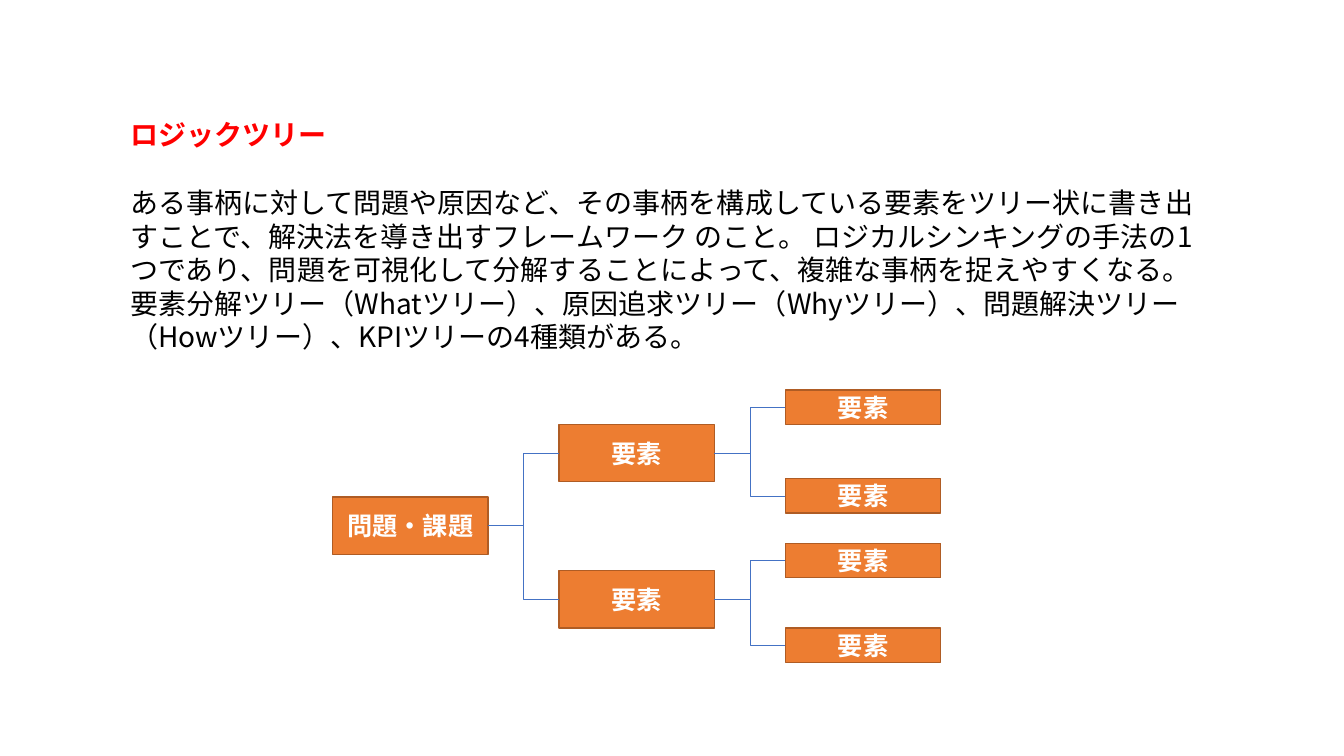
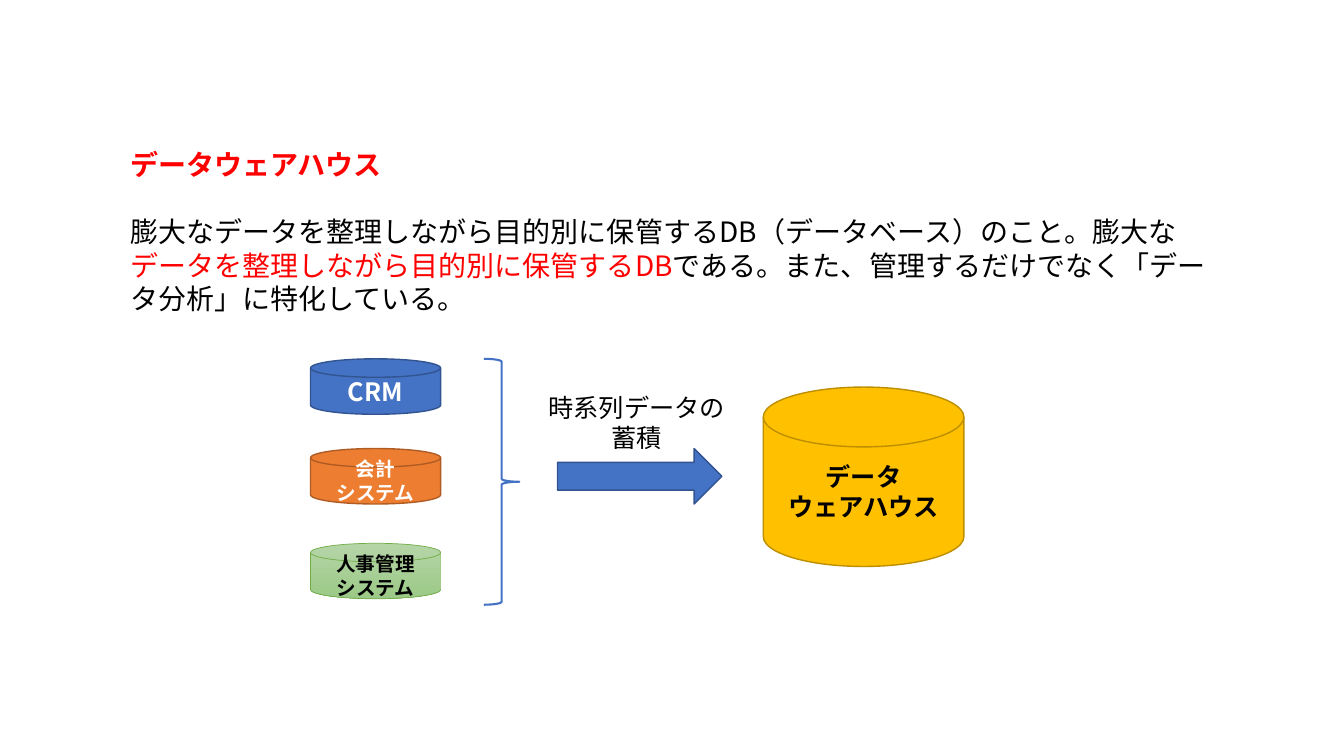
from pptx import Presentation
from pptx.dml.color import RGBColor
from pptx.enum.shapes import MSO_CONNECTOR, MSO_SHAPE
from pptx.enum.text import MSO_ANCHOR, MSO_AUTO_SIZE, PP_ALIGN
from pptx.oxml.ns import qn
from pptx.util import Inches, Pt
from lxml.etree import SubElement

FONT = "Noto Sans CJK JP"
BLACK, WHITE, RED = "000000", "FFFFFF", "FF0000"
BLUE, NAVY = "4472C4", "325491"
ORANGE, BROWN = "ED7D31", "AF5C24"
GOLD, OCHRE = "FFC000", "BD8E00"
GREEN, MINT = "70AD47", ("B5D5A7", "9CC987")

LOGIC = {
    "title": "ロジックツリー",
    "top": 1.12,
    "height": 1.79,
    "body": [
        [("ある事柄に対して問題や原因など、その事柄を構成している要素をツリー状に書き出すことで、解決法を導き出すフレームワーク のこと。 ロジカルシンキングの手法の1つであり、問題を可視化して分解することによって、複雑な事柄を捉えやすくなる。", BLACK)],
        [("要素分解ツリー（Whatツリー）、原因追求ツリー（Whyツリー）、問題解決ツリー（Howツリー）、KPIツリーの4種類がある。", BLACK)],
    ],
}
TREE = ("問題・課題", 4.93, [
    ("要素", 4.21, [("要素", 3.87, []), ("要素", 4.75, [])]),
    ("要素", 5.66, [("要素", 5.39, []), ("要素", 6.23, [])]),
])
HOUSE = {
    "title": "データウェアハウス",
    "top": 1.41,
    "height": 1.11,
    "body": [[
        ("膨大なデータを整理しながら目的別に保管するDB（データベース）のこと。膨大な", BLACK),
        ("データを整理しながら目的別に保管するDB", RED),
        ("である。また、管理するだけでなく「データ分析」に特化している。", BLACK),
    ]],
}
DISKS = [
    (["CRM"], (3.08, 3.56, 1.29, 0.55), BLUE, NAVY, 1, 18, WHITE),
    (["会計", "システム"], (3.08, 4.45, 1.29, 0.55), ORANGE, BROWN, 1, 14, WHITE),
    (["人事管理", "システム"], (3.08, 5.39, 1.29, 0.55), MINT, GREEN, 0.5, 14, BLACK),
    (["データ", "ウェアハウス"], (7.57, 3.84, 1.99, 1.78), GOLD, OCHRE, 1, 18, BLACK),
]
FLOW = ["時系列データの", "蓄積"]


def rgb(code):
    return RGBColor.from_string(code)


def style(para, size, color, bold=False, align=PP_ALIGN.CENTER):
    para.alignment = align
    para.space_before = Pt(0)
    font = para.font
    font.size, font.bold, font.name = Pt(size), bold, FONT
    font.color.rgb = rgb(color)
    SubElement(para._p.pPr.find(qn("a:defRPr")), qn("a:ea"), typeface=FONT)


def write(frame, lines, size, color, bold=False):
    frame.word_wrap = True
    for i, line in enumerate(lines):
        para = frame.add_paragraph() if i else frame.paragraphs[0]
        para.text = line
        style(para, size, color, bold)


def place(shape, *box):
    shape.left, shape.top, shape.width, shape.height = map(Inches, box)
    frame = shape.text_frame
    frame.word_wrap = True
    frame.auto_size = MSO_AUTO_SIZE.NONE
    frame.vertical_anchor = MSO_ANCHOR.TOP
    return frame


def page(deck, data):
    slide = deck.slides.add_slide(deck.slide_layouts[1])
    title, body = slide.placeholders
    top = data["top"]
    head = place(title, 1.19, top, 10.95, 0.43).paragraphs[0]
    head.text = data["title"]
    style(head, 20, RED, True, PP_ALIGN.LEFT)
    frame = place(body, 1.19, top + 0.67, 10.95, data["height"])
    for i, parts in enumerate(data["body"]):
        para = frame.add_paragraph() if i else frame.paragraphs[0]
        props = para._p.get_or_add_pPr()
        props.set("marL", "0")
        props.set("indent", "0")
        SubElement(props, qn("a:buNone"))
        style(para, 20, BLACK, align=PP_ALIGN.LEFT)
        for text, color in parts:
            run = para.add_run()
            run.text = text
            if color != BLACK:
                run.font.color.rgb = rgb(color)
    return slide


def draw(slide, kind, box, fill, line, width=1):
    shape = slide.shapes.add_shape(kind, *map(Inches, box))
    shape.shadow.inherit = False
    if fill is None:
        shape.fill.background()
    elif isinstance(fill, tuple):
        shape.fill.gradient()
        shape.fill.gradient_angle = 270
        for stop, color in zip(shape.fill.gradient_stops, fill):
            stop.color.rgb = rgb(color)
    else:
        shape.fill.solid()
        shape.fill.fore_color.rgb = rgb(fill)
    shape.line.color.rgb = rgb(line)
    shape.line.width = Pt(width)
    shape.text_frame.vertical_anchor = MSO_ANCHOR.MIDDLE
    return shape


def link(slide, start, end):
    line = slide.shapes.add_connector(
        MSO_CONNECTOR.ELBOW,
        start.left + start.width, start.top + start.height // 2,
        end.left, end.top + end.height // 2)
    line.begin_connect(start, 3)
    line.end_connect(end, 1)
    line.line.color.rgb = rgb(BLUE)
    line.line.width = Pt(0.5)
    SubElement(line._element.spPr, qn("a:effectLst"))


def grow(slide, node, level=0):
    text, top, kids = node
    box = (3.3 + 2.245 * level, top, 1.54, 0.57 if kids else 0.34)
    shape = draw(slide, MSO_SHAPE.FLOWCHART_PROCESS, box, ORANGE, BROWN)
    write(shape.text_frame, [text], 18, WHITE, True)
    for kid in kids:
        link(slide, shape, grow(slide, kid, level + 1))
    return shape


def main():
    deck = Presentation()
    deck.slide_width, deck.slide_height = Inches(13.33), Inches(7.5)

    grow(page(deck, LOGIC), TREE)

    slide = page(deck, HOUSE)
    for lines, box, fill, line, width, size, color in DISKS:
        disk = draw(slide, MSO_SHAPE.FLOWCHART_MAGNETIC_DISK, box, fill, line, width)
        write(disk.text_frame, lines, size, color, True)
    draw(slide, MSO_SHAPE.RIGHT_BRACE, (4.8, 3.56, 0.35, 2.44), None, BLUE, 1.5)
    draw(slide, MSO_SHAPE.RIGHT_ARROW, (5.53, 4.45, 1.63, 0.55), BLUE, NAVY)
    label = slide.shapes.add_textbox(*map(Inches, (4.93, 3.84, 2.77, 0.71)))
    write(label.text_frame, FLOW, 18, BLACK)

    deck.save("out.pptx")


if __name__ == "__main__":
    main()
